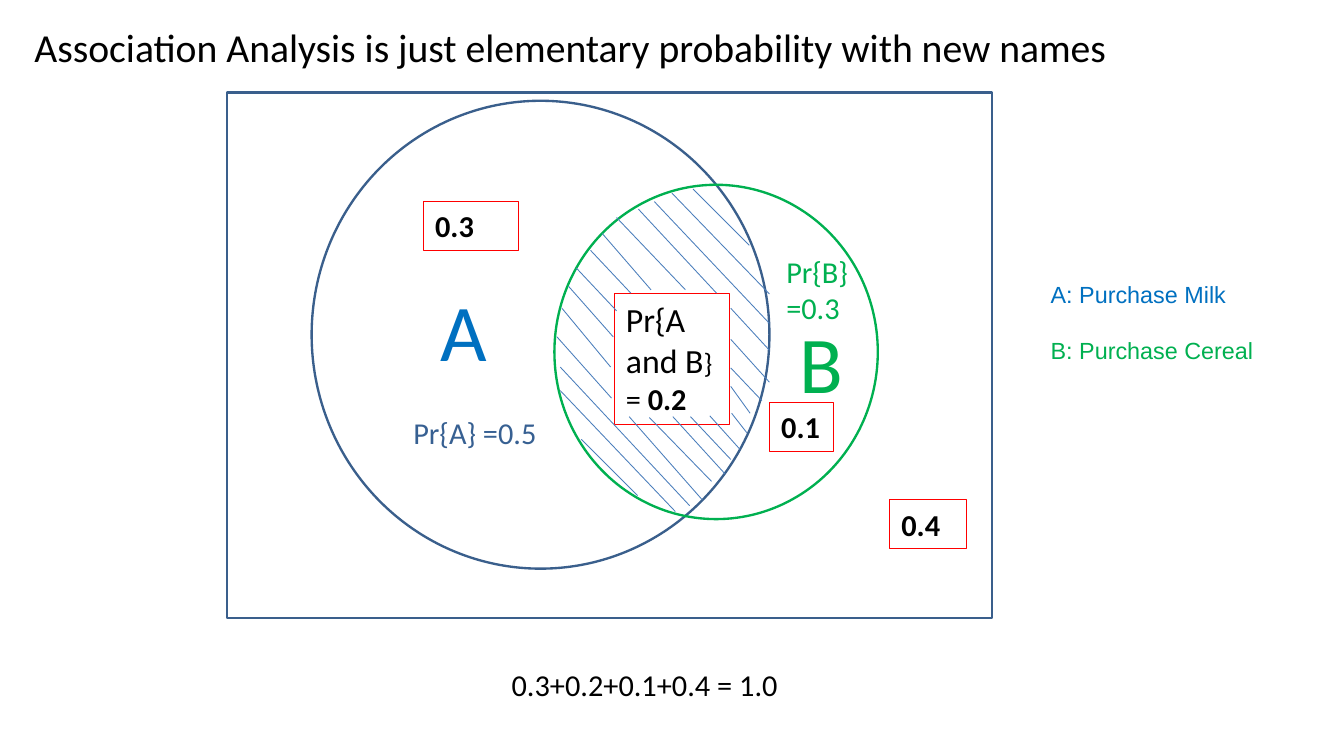
from lxml import etree
from pptx import Presentation
from pptx.dml.color import RGBColor
from pptx.enum.shapes import MSO_CONNECTOR, MSO_SHAPE
from pptx.enum.text import MSO_ANCHOR, MSO_AUTO_SIZE, PP_ALIGN
from pptx.oxml.ns import qn
from pptx.util import Inches, Pt

RECTANGLE = MSO_SHAPE.RECTANGLE
OVAL = MSO_SHAPE.OVAL
STRAIGHT = MSO_CONNECTOR.STRAIGHT
TOP = MSO_ANCHOR.TOP
LEFT = PP_ALIGN.LEFT
FIT_SHAPE = MSO_AUTO_SIZE.SHAPE_TO_FIT_TEXT

BLACK, RED, GREEN = "000000", "FF0000", "00B050"
BLUE, OUTLINE_BLUE, LABEL_BLUE, HATCH_BLUE = "0070C0", "3A5F8C", "376092", "4B7EBC"

HATCH_LINES = [
    (0.43, 0.78, 0.91, 1.29), (0.57, 0.58, 1.15, 1.25), (0.26, 0.99, 0.74, 1.5),
    (1.19, 0.2, 2.56, 1.65), (0.74, 0.39, 1.56, 1.25), (1, 0.29, 1.93, 1.29),
    (0.17, 1.21, 0.7, 1.81), (0.09, 1.47, 0.67, 2.17), (2.1, 1.47, 2.56, 1.97),
    (2.1, 1.84, 2.56, 2.35), (2.1, 2.18, 2.47, 2.57), (1.85, 2.75, 2.21, 3.15),
    (1.62, 2.76, 2.1, 3.27), (1.41, 2.76, 2.03, 3.44), (2.1, 2.4, 2.33, 2.72),
    (2.11, 2.72, 2.29, 2.95), (1.13, 2.77, 1.87, 3.53), (0.89, 2.76, 1.76, 3.75),
    (0.07, 2.45, 1.44, 3.89), (0.03, 1.81, 0.68, 2.54), (0.07, 2.17, 1.61, 3.82),
    (1.4, 0.1, 2.56, 1.3), (1.65, 0.05, 2.32, 0.72), (0.32, 3.03, 0.99, 3.7),
]


def color(hex_value):
    return RGBColor.from_string(hex_value)


def set_line(shape, hex_value, width):
    shape.line.color.rgb = color(hex_value)
    shape.line.width = Pt(width)


def add_run(paragraph, text, size=26, font="Calibri", fill=BLACK, bold=False):
    run = paragraph.add_run()
    run.text = text
    run.font.size = Pt(size)
    run.font.name = font
    run.font.bold = bold
    run.font.color.rgb = color(fill)


def format_frame(frame, horizontal=0.14, vertical=0.07):
    frame.word_wrap = True
    frame.auto_size = FIT_SHAPE
    frame.vertical_anchor = TOP
    frame.margin_left = frame.margin_right = Inches(horizontal)
    frame.margin_top = frame.margin_bottom = Inches(vertical)


def add_text(slide, box, text="", border=None, horizontal=0.14, vertical=0.07, **style):
    shape = slide.shapes.add_textbox(*map(Inches, box))
    format_frame(shape.text_frame, horizontal, vertical)
    if border:
        set_line(shape, border, 0.75)
    if text:
        add_run(shape.text_frame.paragraphs[0], text, **style)
    return shape.text_frame


def add_outline(slide, kind, box, hex_value):
    shape = slide.shapes.add_shape(kind, *map(Inches, box))
    shape.shadow.inherit = False
    shape.fill.background()
    set_line(shape, hex_value, 2)


def add_title(slide, box):
    title = slide.shapes.title
    title.left, title.top, title.width, title.height = map(Inches, box)
    format_frame(title.text_frame)
    paragraph = title.text_frame.paragraphs[0]
    paragraph.alignment = LEFT
    add_run(paragraph, "Association Analysis is just elementary probability with new names", size=34)


def add_hatching(slide, left, top):
    for x1, y1, x2, y2 in HATCH_LINES:
        line = slide.shapes.add_connector(
            STRAIGHT, Inches(left + x1), Inches(top + y1), Inches(left + x2), Inches(top + y2))
        set_line(line, HATCH_BLUE, 0.75)
        etree.SubElement(line._element.spPr, qn("a:effectLst"))


def add_venn_diagram(slide, box):
    left, top, width, height = box

    def place(x, y, w, h):
        return left + x, top + y, w, h

    add_outline(slide, RECTANGLE, box, OUTLINE_BLUE)
    add_outline(slide, OVAL, place(1.01, 0.1, 5.45, 5.57), OUTLINE_BLUE)
    add_outline(slide, OVAL, place(3.9, 1.1, 3.85, 3.98), GREEN)

    add_text(slide, place(2.08, 3.76, 2.05, 0.58), "Pr{A} =0.5", fill=LABEL_BLUE)
    add_text(slide, place(6.52, 1.84, 1.18, 1.02), "Pr{B}=0.3", fill=GREEN)

    joint = add_text(slide, place(4.61, 2.39, 1.38, 1.56), border=RED)
    add_run(joint.paragraphs[0], "Pr{A and B", size=29)
    add_run(joint.paragraphs[0], "}", size=24)
    result = joint.add_paragraph()
    add_run(result, "= ")
    add_run(result, "0.2", bold=True)

    for value, x, y, w in [("0.4", 7.89, 4.85, 0.91), ("0.3", 2.34, 1.3, 1.13), ("0.1", 6.46, 3.69, 0.76)]:
        add_text(slide, place(x, y, w, 0.58), value, border=RED, bold=True)

    add_text(slide, place(2.41, 2.17, 0.6, 1.31), "A", size=69, fill=BLUE)
    add_text(slide, place(6.68, 2.56, 0.91, 1.31), "B", size=69, fill=GREEN)
    add_hatching(slide, left + 3.9, top + 1.1)


def add_legend(slide, box):
    frame = add_text(slide, box, "A: Purchase Milk", horizontal=0.1, vertical=0.05,
                     size=20, font="Arial", fill=BLUE)
    cereal = frame.add_paragraph()
    cereal.space_before = Pt(24)
    add_run(cereal, "B: Purchase Cereal", size=20, font="Arial", fill=GREEN)


def main():
    presentation = Presentation()
    presentation.slide_width = Inches(16)
    presentation.slide_height = Inches(9)
    slide = presentation.slides.add_slide(presentation.slide_layouts[5])
    add_title(slide, (0.27, 0.2, 13.17, 0.72))
    add_venn_diagram(slide, (2.7, 1.1, 9.11, 6.26))
    add_text(slide, (5.95, 7.86, 4.19, 0.58), "0.3+0.2+0.1+0.4 = 1.0")
    add_legend(slide, (12.41, 3.29, 2.8, 1.11))
    presentation.save("out.pptx")


if __name__ == "__main__":
    main()
